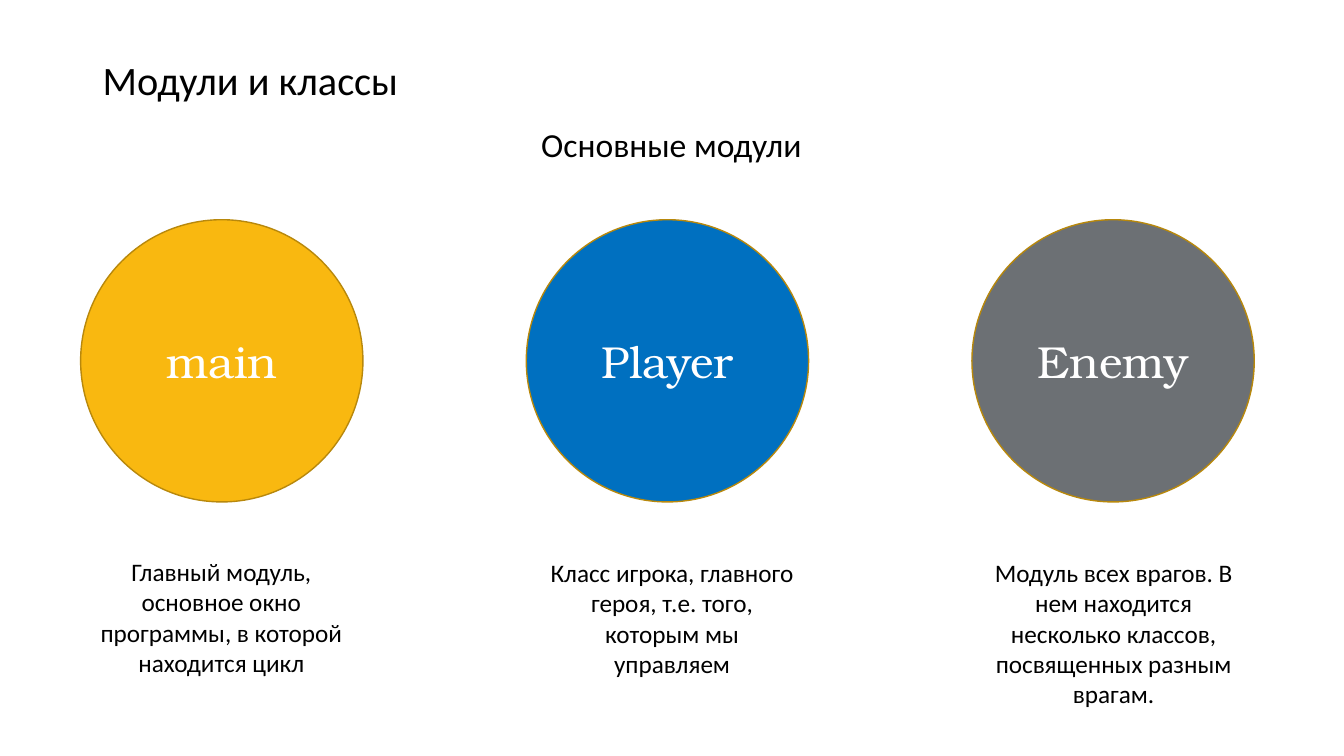
from dataclasses import dataclass

from pptx import Presentation
from pptx.dml import color
from pptx.enum import shapes, text
from pptx.util import Inches, Pt


@dataclass(frozen=True)
class Theme:
    """Colours, fonts and type sizes of the slide."""
    ink: str = "000000"
    light: str = "FFFFFF"
    outline: str = "B8880C"
    yellow: str = "F9B810"
    blue: str = "0070C0"
    grey: str = "6C7074"
    body_font: str = "Calibri"
    module_font: str = "TeX Gyre Bonum"
    title_size: float = 28.8
    heading_size: float = 24
    module_size: float = 32
    note_size: float = 18


THEME = Theme()
DIAMETER = 2.8
FIRST_LEFT = 0.8
PITCH = 4.42
CIRCLE_TOP = 2.18
NOTE_WIDTH = 2.69
MODULES = [
    ("main", THEME.yellow, 0.85, 5.47, 1.31,
     "Главный модуль, основное окно программы, в которой находится цикл"),
    ("Player", THEME.blue, 5.32, 5.48, 1.31,
     "Класс игрока, главного героя, т.е. того, которым мы управляем"),
    ("Enemy", THEME.grey, 9.7, 5.48, 1.62,
     "Модуль всех врагов. В нем находится несколько классов, посвященных разным врагам."),
]


def rgb(value):
    """Turn a hex string into a colour."""
    return color.RGBColor.from_string(value)


def write(frame, wording, *, size, font=THEME.body_font, ink=THEME.ink,
          align=text.PP_ALIGN.LEFT, anchor=text.MSO_ANCHOR.TOP, spacing=None):
    """Fill a text frame with one formatted paragraph."""
    frame.word_wrap = True
    frame.vertical_anchor = anchor
    paragraph = frame.paragraphs[0]
    paragraph.alignment = align
    paragraph.line_spacing = spacing
    run = paragraph.add_run()
    run.text = wording
    run.font.size = Pt(size)
    run.font.name = font
    run.font.color.rgb = rgb(ink)


def add_label(slide, left, top, width, height, wording, **style):
    """Place a text box with formatted wording."""
    label = slide.shapes.add_textbox(
        Inches(left), Inches(top), Inches(width), Inches(height))
    write(label.text_frame, wording, **style)


def add_circle(slide, left, name, fill):
    """Draw a module circle with its name in the middle."""
    circle = slide.shapes.add_shape(
        shapes.MSO_SHAPE.OVAL, Inches(left), Inches(CIRCLE_TOP),
        Inches(DIAMETER), Inches(DIAMETER))
    circle.shadow.inherit = False
    circle.fill.solid()
    circle.fill.fore_color.rgb = rgb(fill)
    circle.line.color.rgb = rgb(THEME.outline)
    circle.line.width = Pt(1)
    write(circle.text_frame, name, size=THEME.module_size,
          font=THEME.module_font, ink=THEME.light,
          align=text.PP_ALIGN.CENTER, anchor=text.MSO_ANCHOR.MIDDLE)


def main():
    """Build and save the slide about modules and classes."""
    deck = Presentation()
    deck.slide_width = Inches(13.33)
    deck.slide_height = Inches(7.5)
    slide = deck.slides.add_slide(deck.slide_layouts[6])

    add_label(slide, 0.92, 0.5, 4.3, 0.58, "Модули и классы",
              size=THEME.title_size, anchor=text.MSO_ANCHOR.BOTTOM, spacing=0.9)
    add_label(slide, 5.27, 1.18, 2.8, 0.5, "Основные модули",
              size=THEME.heading_size)
    for index, (name, fill, left, top, height, note) in enumerate(MODULES):
        add_circle(slide, FIRST_LEFT + index * PITCH, name, fill)
        add_label(slide, left, top, NOTE_WIDTH, height, note,
                  size=THEME.note_size, align=text.PP_ALIGN.CENTER)

    deck.save("out.pptx")


if __name__ == "__main__":
    main()
